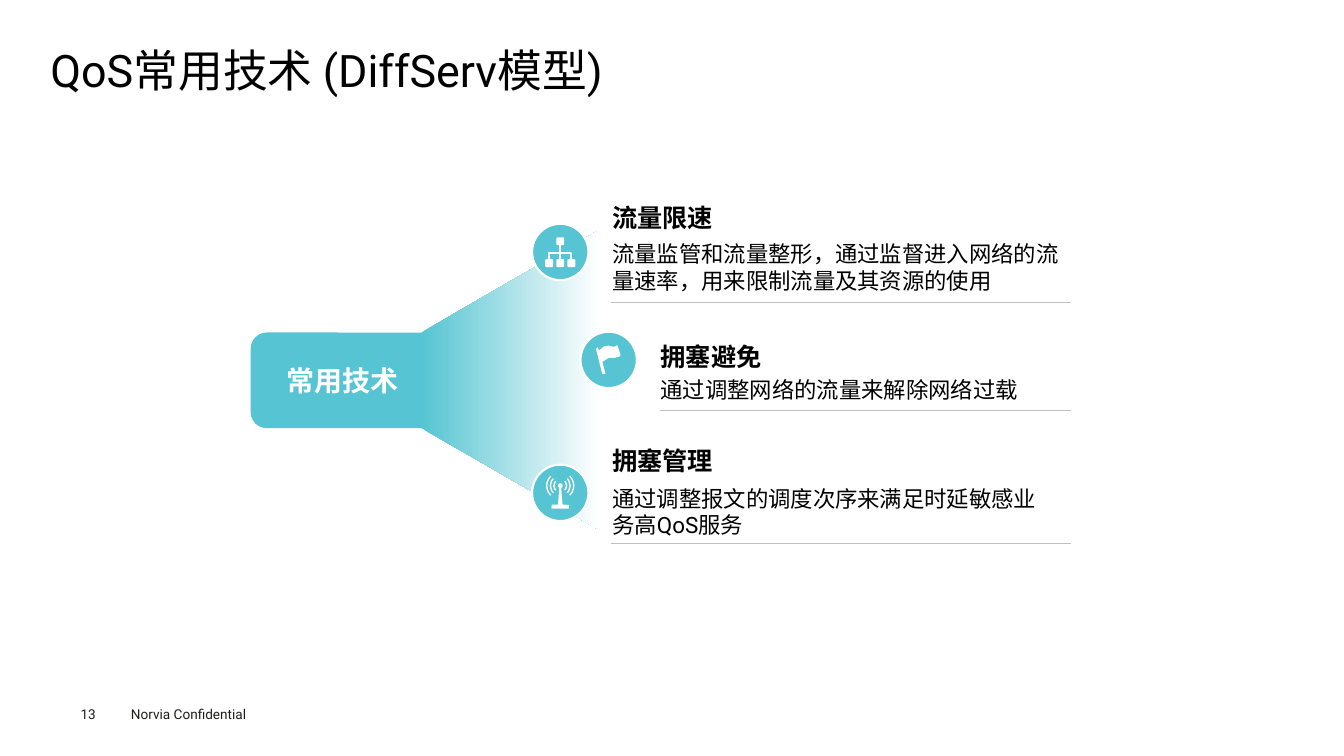
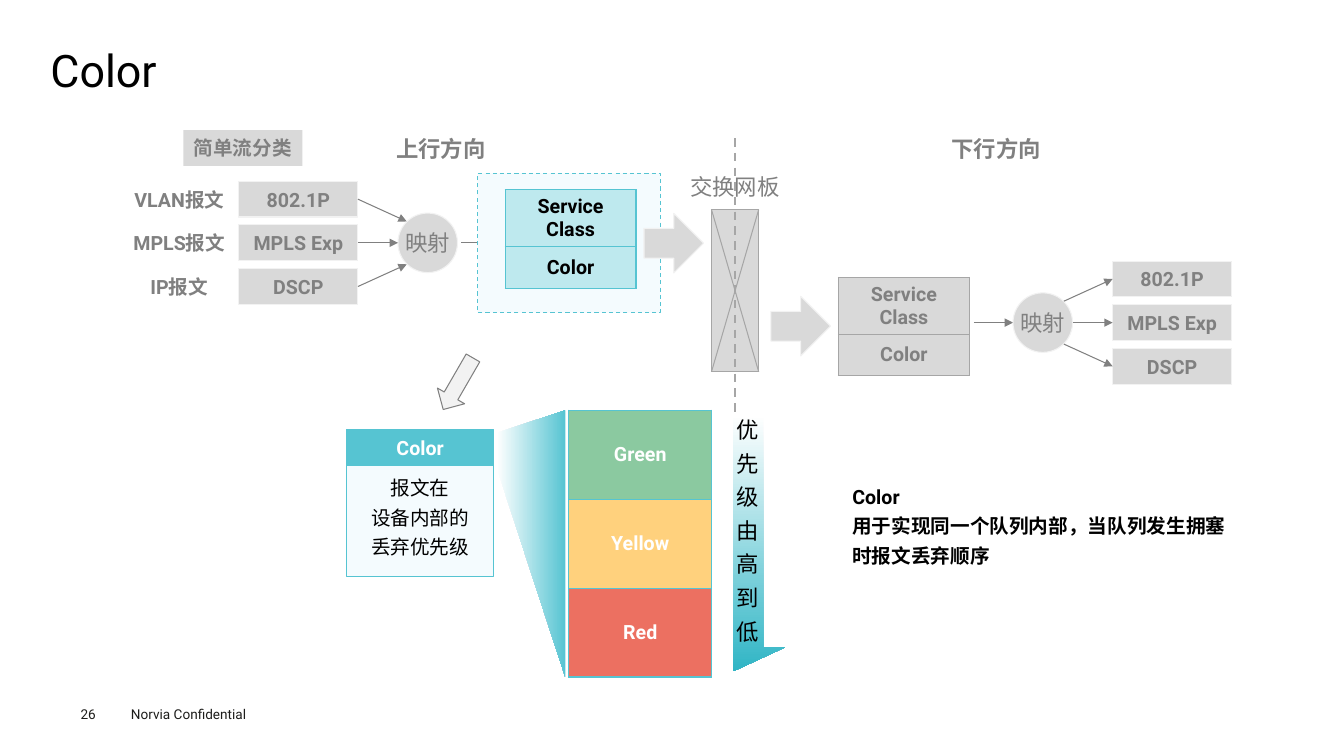
from lxml.etree import SubElement
from pptx import Presentation
from pptx.dml.color import RGBColor
from pptx.enum.dml import MSO_LINE
from pptx.enum.shapes import MSO_CONNECTOR, MSO_SHAPE
from pptx.enum.text import MSO_ANCHOR, PP_ALIGN
from pptx.oxml.ns import qn
from pptx.util import Cm, Pt

FONT = "Roboto"
BLACK = RGBColor(0x00, 0x00, 0x00)
WHITE = RGBColor(0xFF, 0xFF, 0xFF)
INK = RGBColor(0x1D, 0x1D, 0x1B)
TEAL = RGBColor(0x56, 0xC4, 0xD2)
DEEP = RGBColor(0x30, 0xB5, 0xC5)
AQUA = RGBColor(0xBE, 0xE9, 0xEE)
ICE = RGBColor(0xF4, 0xFB, 0xFE)
DARK = RGBColor(0x80, 0x80, 0x80)
GRAY = RGBColor(0xA6, 0xA6, 0xA6)
RULE = RGBColor(0xBF, 0xBF, 0xBF)
PALE = RGBColor(0xD9, 0xD9, 0xD9)
MIST = RGBColor(0xF2, 0xF2, 0xF2)
GREEN = RGBColor(0x8B, 0xC9, 0xA0)
YELLOW = RGBColor(0xFF, 0xD1, 0x7D)
RED = RGBColor(0xEC, 0x70, 0x61)

LEFT, CENTER = PP_ALIGN.LEFT, PP_ALIGN.CENTER
TOP, MIDDLE = MSO_ANCHOR.TOP, MSO_ANCHOR.MIDDLE


def write(shape, text, size, color, bold=False, align=CENTER, anchor=MIDDLE,
          space=None, pad=0.0, rim=0.13):
    """Fill a shape with text, one paragraph per line; pad and rim are the side and top insets."""
    frame = shape.text_frame
    frame.word_wrap = True
    frame.vertical_anchor = anchor
    frame.margin_left = frame.margin_right = Cm(pad)
    frame.margin_top = frame.margin_bottom = Cm(rim)
    frame.text = text
    for para in frame.paragraphs:
        para.alignment = align
        if space:
            para.line_spacing = space
        font = para.font
        font.name, font.size, font.bold = FONT, Pt(size), bold
        font.color.rgb = color


def label(slide, left, top, width, height, text, size, color, **style):
    box = slide.shapes.add_textbox(Cm(left), Cm(top), Cm(width), Cm(height))
    write(box, text, size, color, **style)


def paint(shape, fill, edge, weight):
    shape.shadow.inherit = False
    if fill is None:
        shape.fill.background()
    else:
        shape.fill.solid()
        shape.fill.fore_color.rgb = fill
    if edge is None:
        shape.line.fill.background()
    else:
        shape.line.color.rgb = edge
        shape.line.width = Pt(weight)


def block(slide, kind, left, top, width, height, fill, edge=None, weight=0.75):
    shape = slide.shapes.add_shape(kind, Cm(left), Cm(top), Cm(width), Cm(height))
    paint(shape, fill, edge, weight)
    return shape


def trace(slide, *paths, close=True, fill=None, edge=None, weight=0.75):
    """Draw one outline from lists of points."""
    paths = [[(Cm(x), Cm(y)) for x, y in points] for points in paths]
    pen = slide.shapes.build_freeform(*paths[0][0])
    for index, (start, *rest) in enumerate(paths):
        if index:
            pen.move_to(*start)
        pen.add_line_segments(rest, close=close)
    shape = pen.convert_to_shape()
    paint(shape, fill, edge, weight)
    return shape


def fade(shape, first, last, angle=0):
    shape.fill.gradient()
    shape.fill.gradient_angle = angle
    for stop, color, place in zip(shape.fill.gradient_stops, (first, last), (0, 1)):
        stop.color.rgb = color
        stop.position = place


def line(slide, start, end, color, weight=0.75, head=False):
    link = slide.shapes.add_connector(
        MSO_CONNECTOR.STRAIGHT, *(Cm(value) for value in (*start, *end)))
    link.line.color.rgb = color
    link.line.width = Pt(weight)
    props = link._element.spPr
    if head:
        SubElement(props.find(qn("a:ln")), qn("a:tailEnd"), type="triangle")
    SubElement(props, qn("a:effectLst"))
    return link


def frame(deck, title, number):
    """Add a slide with its title, page number and footer."""
    slide = deck.slides.add_slide(deck.slide_layouts[5])
    head = slide.shapes.title
    head.left, head.top, head.width, head.height = Cm(1.27), Cm(1.24), Cm(31.27), Cm(1.35)
    write(head, title, 32, BLACK, align=LEFT, anchor=TOP, space=0.9, rim=0)
    label(slide, 3.05, 17.65, 4.06, 0.69, "Norvia Confidential", 9.7, INK,
          align=LEFT, anchor=TOP, pad=0.25)
    label(slide, 2.03, 17.78, 1.4, 0.41, str(number), 9.7, INK,
          align=LEFT, anchor=TOP, rim=0)
    return slide


def shift(points, x, y):
    return [(x + dx, y + dy) for dx, dy in points]


def tree(slide, x, y):
    fork = [(-0.28, 0.28), (-0.28, 0.03), (0.28, 0.03), (0.28, 0.28)]
    stem = [(0, -0.27), (0, 0.28)]
    trace(slide, shift(fork, x, y), shift(stem, x, y), close=False, edge=WHITE, weight=1.25)
    for dx, dy in ((0, -0.27), (-0.28, 0.28), (0, 0.28), (0.28, 0.28)):
        block(slide, MSO_SHAPE.ROUNDED_RECTANGLE, x + dx - 0.1, y + dy - 0.1, 0.2, 0.2, WHITE)


def flag(slide, x, y):
    cloth = [(0.3, -0.13), (0.22, -0.37), (0.12, -0.33), (0, -0.36), (-0.12, -0.34),
             (-0.24, -0.24), (-0.28, -0.32), (-0.32, -0.28), (-0.16, 0.36), (-0.08, 0.35),
             (-0.16, 0.05), (0, -0.05), (0.15, -0.05), (0.28, -0.09)]
    trace(slide, shift(cloth, x, y), fill=WHITE)


def mast(slide, x, y):
    hub = y - 0.18
    for radius in (0.16, 0.25, 0.34):
        for start, end in ((315, 45), (135, 225)):
            wave = block(slide, MSO_SHAPE.ARC, x - radius, hub - radius,
                         2 * radius, 2 * radius, None, WHITE, 1)
            # Angles are stored in 60000ths of a degree, adjustments in 100000ths.
            wave.adjustments[0] = start * 0.6
            wave.adjustments[1] = end * 0.6
    block(slide, MSO_SHAPE.OVAL, x - 0.06, hub - 0.06, 0.12, 0.12, WHITE)
    pole = [(-0.02, -0.18), (0.02, -0.18), (0.06, 0.32), (-0.06, 0.32)]
    trace(slide, shift(pole, x, y), fill=WHITE)
    block(slide, MSO_SHAPE.ROUNDED_RECTANGLE, x - 0.22, y + 0.3, 0.44, 0.1, WHITE)


def entry(slide, left, top, icon, head, text, head_y, text_y, right=27.03):
    """Place an icon with heading, text and rule; head_y and text_y are text centres below top."""
    size = 1.42
    block(slide, MSO_SHAPE.OVAL, left, top, size, size, TEAL, WHITE, 1.5)
    icon(slide, left + size / 2, top + size / 2)
    edge = left + 1.77
    label(slide, edge, top + head_y - 0.6, 10.6, 1.2, head, 18, BLACK,
          bold=True, align=LEFT, pad=0.25)
    label(slide, edge, top + text_y - 0.9, right - edge, 1.8, text, 16, BLACK,
          align=LEFT, pad=0.25)
    line(slide, (left + 2, top + 1.98), (27, top + 1.98), RULE, 0.25)


def methods(deck):
    slide = frame(deck, "QoS常用技术 (DiffServ模型)", 13)
    hub = block(slide, MSO_SHAPE.ROUNDED_RECTANGLE, 6.32, 8.38, 4.65, 2.41, TEAL)
    write(hub, "常用技术", 20, WHITE, bold=True)
    beam = trace(slide, [(10.62, 8.38), (15.11, 5.79), (15.11, 13.36), (10.62, 10.79)])
    fade(beam, TEAL, WHITE)
    entry(slide, 13.41, 5.64, tree, "流量限速",
          "流量监管和流量整形，通过监督进入网络的流量速率，用来限制流量及其资源的使用",
          -0.16, 1.1)
    entry(slide, 14.63, 8.36, flag, "拥塞避免", "通过调整网络的流量来解除网络过载", 0.62, 1.46)
    entry(slide, 13.41, 11.71, mast, "拥塞管理",
          "通过调整报文的调度次序来满足时延敏感业务高QoS服务", -0.11, 1.18, 26.92)


def grid(slide, left, top, width, rows, edge, color):
    """Add a one-column table; rows hold text, height and fill."""
    total = sum(height for _, height, _ in rows)
    table = slide.shapes.add_table(
        len(rows), 1, Cm(left), Cm(top), Cm(width), Cm(total)).table
    table.first_row = table.horz_banding = False
    for index, (text, height, fill) in enumerate(rows):
        table.rows[index].height = Cm(height)
        cell = table.cell(index, 0)
        cell.text = text
        cell.vertical_anchor = MIDDLE
        para = cell.text_frame.paragraphs[0]
        para.alignment = CENTER
        font = para.font
        font.name, font.size, font.bold = FONT, Pt(14), True
        font.color.rgb = color
        props = cell._tc.get_or_add_tcPr()
        for side in ("a:lnL", "a:lnR", "a:lnT", "a:lnB"):
            border = SubElement(props, qn(side), w=str(Pt(1)))
            solid = SubElement(border, qn("a:solidFill"))
            SubElement(solid, qn("a:srgbClr"), val=str(edge))
        cell.fill.solid()
        cell.fill.fore_color.rgb = fill


def marks(slide, left, top, fill, edge, color):
    rows = [("Service Class", 1.43, fill), ("Color", 1.04, fill)]
    grid(slide, left, top, 3.3, rows, edge, color)


def tag(slide, left, top, text, fill=PALE, edge=MIST, color=DARK, width=3.0):
    box = block(slide, MSO_SHAPE.RECTANGLE, left, top, width, 0.9, fill, edge)
    write(box, text, 14, color, bold=True)
    return box


def fields(slide, left, top, hub, names=()):
    """Link three packet fields with the mapping circle centred at hub."""
    mid = top + 1.55
    side = 1 if left > hub else -1
    ball = block(slide, MSO_SHAPE.OVAL, hub - 0.75, mid - 0.75, 1.5, 1.5, PALE, MIST)
    write(ball, "映射", 16, DARK, rim=0)
    ball.text_frame.word_wrap = False
    for step, text in zip((-1, 0, 1), ("802.1P", "MPLS Exp", "DSCP")):
        box = tag(slide, left, mid + step * 1.1 - 0.45, text)
        joint = (hub + side * (0.53 if step else 0.75), mid + step * 0.54)
        if side > 0:
            line(slide, joint, (left, mid), DARK, head=True).end_connect(box, 1)
        else:
            line(slide, (left + 3, mid), joint, DARK, head=True).begin_connect(box, 3)
    for step, name in enumerate(names):
        label(slide, left - 3, top + step * 1.1, 3, 0.9, name, 14, DARK, bold=True)


def uplink(slide):
    tag(slide, 4.62, 3.28, "简单流分类", edge=None)
    label(slide, 9.73, 3.28, 2.77, 0.94, "上行方向", 16, DARK, bold=True)
    fields(slide, 6.02, 4.57, 10.78, ("VLAN报文", "MPLS报文", "IP报文"))
    line(slide, (11.63, 6.12), (12.52, 6.12), DARK, head=True)
    zone = block(slide, MSO_SHAPE.RECTANGLE, 12.04, 4.37, 4.6, 3.51, ICE, TEAL)
    zone.line.dash_style = MSO_LINE.DASH
    marks(slide, 12.73, 4.78, AQUA, TEAL, BLACK)
    block(slide, MSO_SHAPE.RIGHT_ARROW, 16.23, 5.38, 1.5, 1.5, PALE, MIST)


def fabric(slide, left, top, width, height):
    right, base, mid = left + width, top + height, left + width / 2
    block(slide, MSO_SHAPE.RECTANGLE, left, top, width, height, PALE, GRAY)
    line(slide, (left, top), (right, base), GRAY)
    line(slide, (right, top), (left, base), GRAY)
    label(slide, mid - 1.4, top - 1.04, 2.8, 0.94, "交换网板", 16, DARK)
    split = line(slide, (mid, top - 1.8), (mid, base + 1.09), GRAY, 1.5)
    split.line.dash_style = MSO_LINE.DASH


def downlink(slide):
    label(slide, 23.72, 3.28, 2.77, 0.94, "下行方向", 16, DARK, bold=True)
    block(slide, MSO_SHAPE.RIGHT_ARROW, 19.43, 7.47, 1.5, 1.5, PALE, MIST)
    marks(slide, 21.13, 6.99, PALE, GRAY, DARK)
    line(slide, (24.54, 8.13), (25.53, 8.13), DARK, head=True)
    fields(slide, 28.04, 6.58, 26.28)


def detail(slide, left, top):
    """Explain Color and its three levels, from a panel at left and top."""
    arrow = block(slide, MSO_SHAPE.DOWN_ARROW, left + 2.41, top - 1.9, 0.79, 1.5, MIST, DARK)
    arrow.rotation = 30
    panel = block(slide, MSO_SHAPE.RECTANGLE, left, top + 0.9, 3.7, 2.8, ICE, TEAL)
    write(panel, "报文在\n设备内部的\n丢弃优先级", 14, BLACK, anchor=TOP, space=1.25)
    tag(slide, left, top, "Color", TEAL, TEAL, WHITE, 3.7)
    beam = [(3.81, 0.08), (5.51, -0.48), (5.51, 6.25), (3.78, 0.97)]
    fade(trace(slide, shift(beam, left, top)), WHITE, TEAL)
    levels = [("Green", GREEN), ("Yellow", YELLOW), ("Red", RED)]
    grid(slide, left + 5.59, top - 0.48, 3.61,
         [(text, 2.24, fill) for text, fill in levels], TEAL, WHITE)
    rank = [(9.73, -0.36), (9.73, 6.1), (11.05, 5.49), (10.49, 5.49), (10.49, -0.36)]
    fade(trace(slide, shift(rank, left, top)), WHITE, DEEP, 270)
    label(slide, left + 9.4, top - 0.63, 1.42, 6.27, "优先级由高到低", 16, BLACK,
          anchor=TOP, space=1.25, pad=0.28)
    label(slide, left + 12.49, top + 0.76, 10.39, 3.2,
          "Color\n用于实现同一个队列内部，当队列发生拥塞时报文丢弃顺序", 14, BLACK,
          bold=True, align=LEFT, space=1.25, pad=0.25)


def colors(deck):
    slide = frame(deck, "Color", 26)
    uplink(slide)
    fabric(slide, 17.93, 5.28, 1.19, 4.09)
    downlink(slide)
    detail(slide, 8.74, 10.82)


def main():
    deck = Presentation()
    deck.slide_width, deck.slide_height = Cm(33.87), Cm(19.05)
    methods(deck)
    colors(deck)
    deck.save("out.pptx")


if __name__ == "__main__":
    main()
